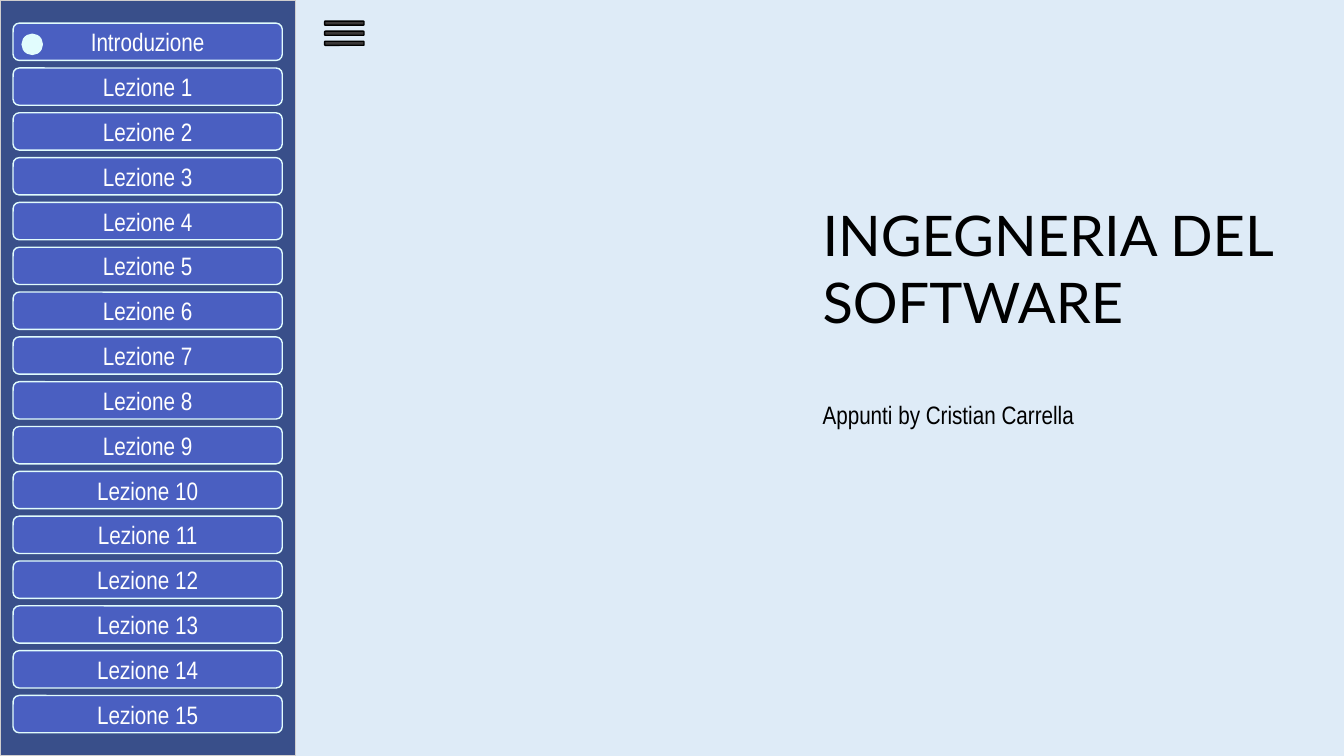
"""Course cover slide with a lesson menu on the left."""
from pptx import Presentation
from pptx.dml.color import RGBColor
from pptx.enum.shapes import MSO_SHAPE
from pptx.enum.text import MSO_ANCHOR, MSO_AUTO_SIZE, PP_ALIGN
from pptx.util import Inches, Pt

RECT, ROUND, OVAL = MSO_SHAPE.RECTANGLE, MSO_SHAPE.ROUNDED_RECTANGLE, MSO_SHAPE.OVAL
LEFT, CENTER = PP_ALIGN.LEFT, PP_ALIGN.CENTER
TOP, MIDDLE = MSO_ANCHOR.TOP, MSO_ANCHOR.MIDDLE
GROW = MSO_AUTO_SIZE.SHAPE_TO_FIT_TEXT

MENU = ["Introduzione"] + [f"Lezione {n}" for n in range(1, 16)]
TEXTS = [
    ("INGEGNERIA DEL SOFTWARE", (8.06, 1.94, 5.46, 1.45), {"name": "Lato", "size": Pt(40)}),
    ("Appunti by Cristian Carrella", (8.06, 3.91, 4.84, 0.4),
     {"name": "Arial Narrow", "size": Pt(18)}),
]
MENU_FONT = {"name": "Arial Narrow", "size": Pt(18)}
BACKGROUND, PANEL, BUTTON, PALE = "DEEBF7", "394F8A", "4A5FC1", "E1FCFD"
PANEL_EDGE, BAR, BLACK, WHITE = "D0CECE", "3B3838", "000000", "FFFFFF"
FIRST_TOP, LAST_TOP = 0.23, 6.9
BAR_TOP, BAR_STEP, BAR_COUNT = 0.21, 0.1, 3


def rgb(value):
    return RGBColor.from_string(value)


def add_box(shapes, kind, at, fill, line):
    sp = shapes.add_shape(kind, *map(Inches, at))
    sp.shadow.inherit = False
    sp.fill.solid()
    sp.fill.fore_color.rgb = rgb(fill)
    sp.line.color.rgb = rgb(line)
    sp.line.width = Pt(1)
    return sp


def write(sp, text, font, color, align, anchor):
    tf = sp.text_frame
    tf.word_wrap = True
    tf.vertical_anchor = anchor
    p = tf.paragraphs[0]
    p.alignment = align
    r = p.add_run()
    r.text = text
    for key, value in font.items():
        setattr(r.font, key, value)
    r.font.color.rgb = rgb(color)


def main():
    prs = Presentation()
    prs.slide_width, prs.slide_height = Inches(13.33), Inches(7.5)
    s = prs.slides.add_slide(prs.slide_layouts[6])
    s.background.fill.solid()
    s.background.fill.fore_color.rgb = rgb(BACKGROUND)

    menu = s.shapes.add_group_shape().shapes
    add_box(menu, RECT, (0, 0, 2.93, 7.5), PANEL, PANEL_EDGE)
    step = (LAST_TOP - FIRST_TOP) / (len(MENU) - 1)
    for i, label in enumerate(MENU):
        sp = add_box(menu, ROUND, (0.13, FIRST_TOP + i * step, 2.67, 0.37), BUTTON, PALE)
        write(sp, label, MENU_FONT, WHITE, CENTER, MIDDLE)
    add_box(menu, OVAL, (0.22, 0.34, 0.2, 0.2), PALE, PALE)
    for i in range(BAR_COUNT):
        add_box(menu, ROUND, (3.22, BAR_TOP + i * BAR_STEP, 0.39, 0.04), BAR, BLACK)

    for text, at, font in TEXTS:
        sp = s.shapes.add_textbox(*map(Inches, at))
        write(sp, text, font, BLACK, LEFT, TOP)
        sp.text_frame.auto_size = GROW

    prs.save("out.pptx")


if __name__ == "__main__":
    main()
